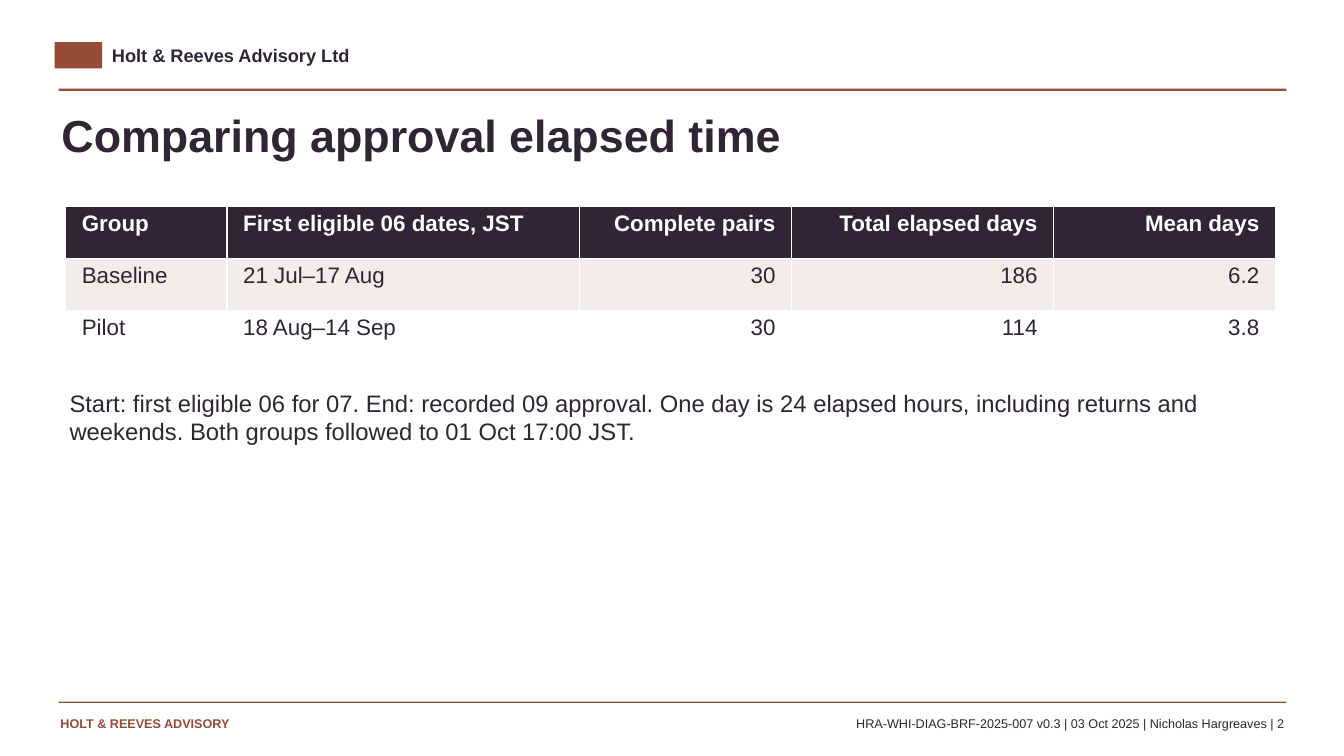
from pptx import Presentation
from pptx.dml.color import RGBColor
from pptx.enum.shapes import MSO_SHAPE as SHAPE
from pptx.enum.text import MSO_ANCHOR as ANCHOR, PP_ALIGN as ALIGN
from pptx.util import Pt

COLORS = {"plum": "302435", "rust": "964B37", "blush": "F4ECE8", "white": "FFFFFF"}


def write(holder, text, size=16, color="plum", bold=False, align=ALIGN.LEFT, margins=(0, 0)):
    holder.vertical_anchor = ANCHOR.TOP
    holder.margin_left = holder.margin_right = Pt(margins[0])
    holder.margin_top = holder.margin_bottom = Pt(margins[1])
    frame = getattr(holder, "text_frame", holder)
    paragraph = frame.paragraphs[0]
    paragraph.alignment = align
    run = paragraph.add_run()
    run.text = text
    run.font.name = "Arial"
    run.font.size = Pt(size)
    run.font.bold = bold
    run.font.color.rgb = RGBColor.from_string(COLORS[color])


presentation = Presentation()
presentation.slide_width = Pt(960)
presentation.slide_height = Pt(540)
slide = presentation.slides.add_slide(presentation.slide_layouts[6])

brand_block = (39, 30.2, 34, 18.7)
header_rule = (41.8, 63.4, 877, 1.6)
footer_rule = (41.8, 501.1, 877, 1)
for box in (brand_block, header_rule, footer_rule):
    shape = slide.shapes.add_shape(SHAPE.RECTANGLE, *map(Pt, box))
    shape.shadow.inherit = False
    shape.fill.solid()
    shape.fill.fore_color.rgb = RGBColor.from_string(COLORS["rust"])
    shape.line.fill.background()

labels = [
    ((80, 31.7, 432, 19.4), "Holt & Reeves Advisory Ltd", dict(size=13, bold=True)),
    ((43.9, 77, 864, 56.2), "Comparing approval elapsed time", dict(size=32, bold=True)),
    ((48.2, 275.8, 849.6, 61.9),
     "Start: first eligible 06 for 07. End: recorded 09 approval. One day is 24 elapsed "
     "hours, including returns and weekends. Both groups followed to 01 Oct 17:00 JST.",
     dict(size=17, margins=(1.5, 1.5))),
    ((43.2, 511.2, 244.8, 18), "HOLT & REEVES ADVISORY",
     dict(size=9, color="rust", bold=True)),
    ((296.6, 511.2, 620.6, 15.8),
     "HRA-WHI-DIAG-BRF-2025-007 v0.3 | 03 Oct 2025 | Nicholas Hargreaves | 2",
     dict(size=9, align=ALIGN.RIGHT)),
]
for box, text, style in labels:
    textbox = slide.shapes.add_textbox(*map(Pt, box))
    textbox.text_frame.word_wrap = True
    write(textbox.text_frame, text, **style)

rows = [
    ("Group", "First eligible 06 dates, JST", "Complete pairs", "Total elapsed days", "Mean days"),
    ("Baseline", "21 Jul–17 Aug", "30", "186", "6.2"),
    ("Pilot", "18 Aug–14 Sep", "30", "114", "3.8"),
]
row_fills = ["plum", "blush", "white"]
column_widths = [115.2, 252, 151.2, 187.2, 158.4]

table = slide.shapes.add_table(
    len(rows), len(column_widths), Pt(47), Pt(147.6), Pt(864), Pt(111.6)).table
for column, width in zip(table.columns, column_widths):
    column.width = Pt(width)

for row_index, (values, fill) in enumerate(zip(rows, row_fills)):
    table.rows[row_index].height = Pt(37.2)
    is_header = row_index == 0
    for column_index, value in enumerate(values):
        cell = table.cell(row_index, column_index)
        cell.fill.solid()
        cell.fill.fore_color.rgb = RGBColor.from_string(COLORS[fill])
        write(cell, value, bold=is_header, margins=(11.5, 3.6),
              color="white" if is_header else "plum",
              align=ALIGN.RIGHT if column_index >= 2 else ALIGN.LEFT)

presentation.save("out.pptx")
